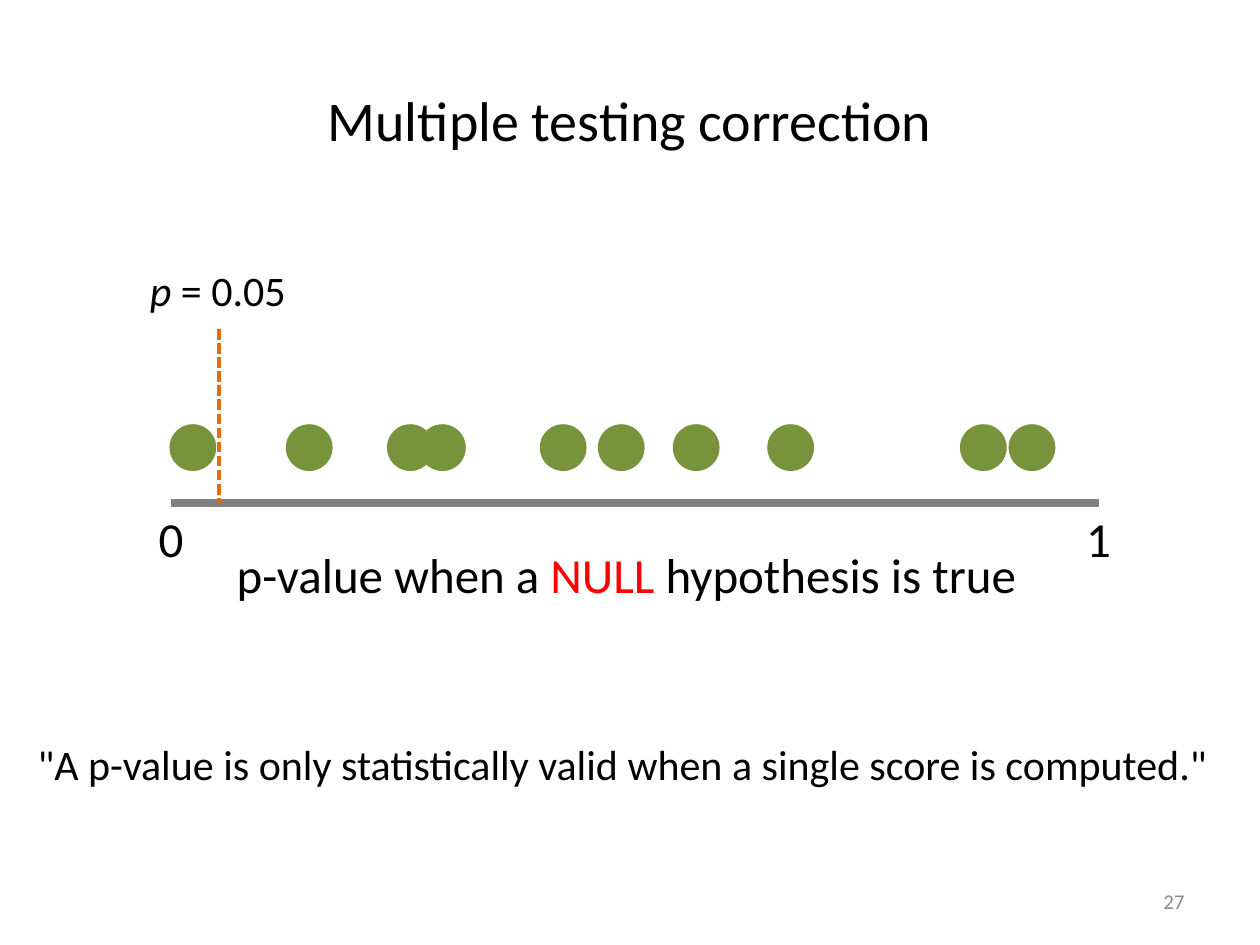
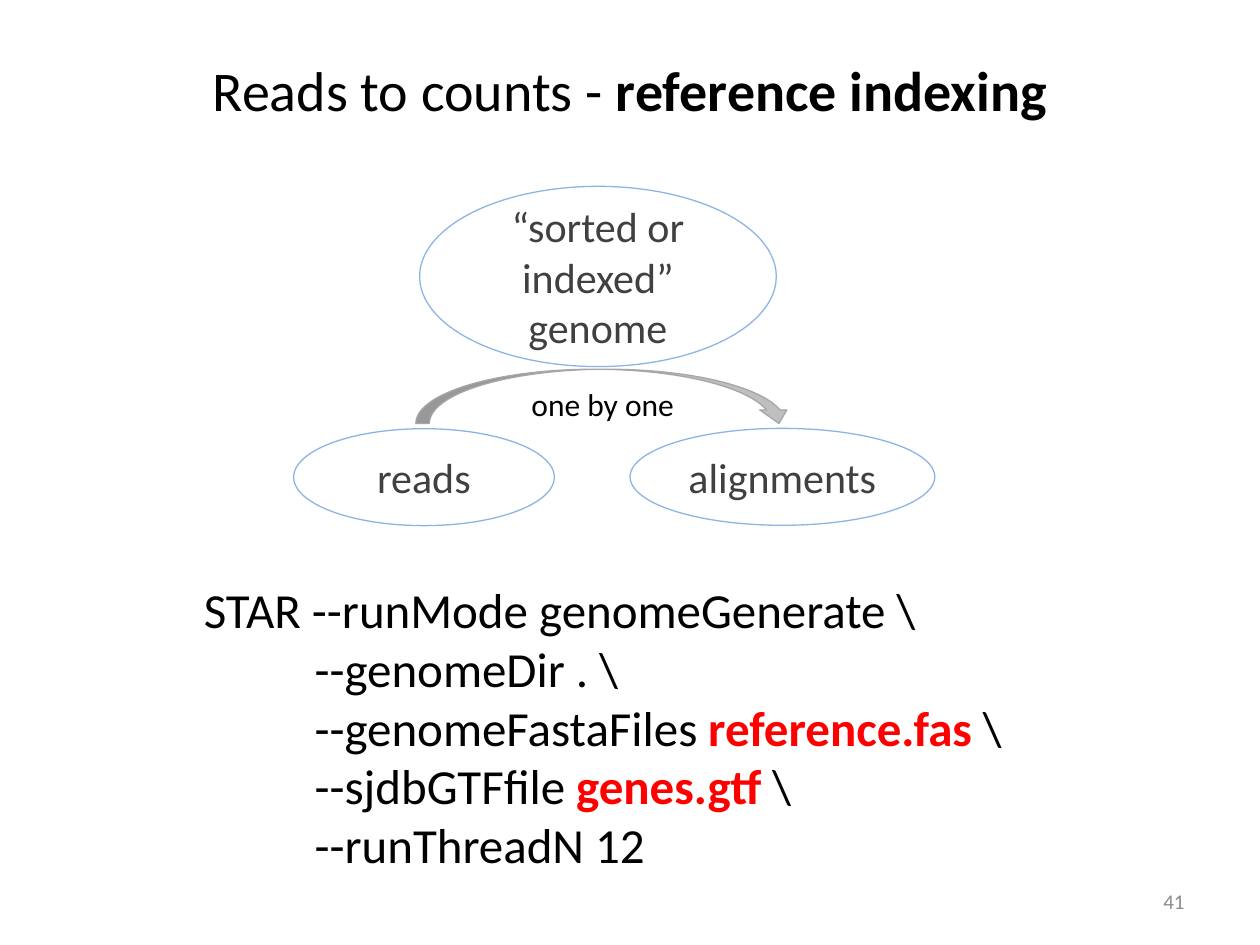
"""Build two slides: multiple testing correction and reference indexing."""
from dataclasses import dataclass
from typing import Optional

from lxml import etree
from pptx import Presentation
from pptx.dml.color import RGBColor
from pptx.enum.dml import MSO_LINE
from pptx.enum.shapes import MSO_CONNECTOR, MSO_SHAPE
from pptx.enum.text import MSO_ANCHOR, MSO_AUTO_SIZE, PP_ALIGN
from pptx.oxml.ns import qn
from pptx.util import Pt

OVAL = MSO_SHAPE.OVAL
CURVED_ARROW = MSO_SHAPE.CURVED_DOWN_ARROW
STRAIGHT = MSO_CONNECTOR.STRAIGHT
DASH = MSO_LINE.SQUARE_DOT
LEFT, CENTER, RIGHT = PP_ALIGN.LEFT, PP_ALIGN.CENTER, PP_ALIGN.RIGHT
TOP, MIDDLE = MSO_ANCHOR.TOP, MSO_ANCHOR.MIDDLE
FIT, NO_FIT = MSO_AUTO_SIZE.SHAPE_TO_FIT_TEXT, MSO_AUTO_SIZE.NONE

FONT = "Calibri"
BLACK, RED, DARK, NUMBER = "000000", "FF0000", "404040", "8C8C8C"
GREEN, ORANGE, AXIS = "77933C", "E46C0A", "808080"
OUTLINE, ARROW_FILL, ARROW_EDGE = "8EB4E3", "BFBFBF", "A6A6A6"

AXIS_LEFT, AXIS_RIGHT, AXIS_Y = 98, 628, 287.3
THRESHOLD_X = 125.3
DOT_SIZE, DOT_TOP = 26, 242.8
DOT_LEFTS = (97.2, 163.7, 221.5, 239.8, 308.8, 342, 384.8, 438.8, 548.9, 576.7)


@dataclass(frozen=True)
class Run:
    """A piece of text whose look may differ from its paragraph."""
    text: str
    color: Optional[str] = None
    bold: Optional[bool] = None
    italic: Optional[bool] = None


@dataclass(frozen=True)
class Box:
    """A rectangle in points."""
    x: float
    y: float
    w: float
    h: float

    def lengths(self) -> tuple:
        """Return the four lengths for python-pptx."""
        return Pt(self.x), Pt(self.y), Pt(self.w), Pt(self.h)


@dataclass(frozen=True)
class Label:
    """A text box with one or more paragraphs of runs."""
    box: Box
    paragraphs: tuple
    size: float
    wrap: bool = False


@dataclass(frozen=True)
class Node:
    """An outlined ellipse with a caption."""
    box: Box
    text: str


def rgb(value: str) -> RGBColor:
    """Turn a hex string into a colour."""
    return RGBColor.from_string(value)


def write(tf, paragraphs, size, color=BLACK, align=LEFT, anchor=TOP) -> None:
    """Fill a text frame with paragraphs of runs."""
    tf.vertical_anchor = anchor
    for i, runs in enumerate(paragraphs):
        p = tf.paragraphs[0] if i == 0 else tf.add_paragraph()
        p.alignment = align
        p.font.name, p.font.size = FONT, Pt(size)
        p.font.color.rgb = rgb(color)
        for run in runs:
            r = p.add_run()
            r.text = run.text
            if run.color:
                r.font.color.rgb = rgb(run.color)
            if run.bold is not None:
                r.font.bold = run.bold
            if run.italic is not None:
                r.font.italic = run.italic


def add_label(s, label: Label) -> None:
    """Add a text box that grows with its text."""
    tf = s.shapes.add_textbox(*label.box.lengths()).text_frame
    tf.word_wrap = label.wrap
    tf.auto_size = FIT
    write(tf, label.paragraphs, label.size)


def add_preset(s, kind, box: Box, line: str, fill: Optional[str] = None):
    """Add a preset shape with a thin outline."""
    sp = s.shapes.add_shape(kind, *box.lengths())
    sp.shadow.inherit = False
    if fill:
        sp.fill.solid()
        sp.fill.fore_color.rgb = rgb(fill)
    else:
        sp.fill.background()
    sp.line.color.rgb = rgb(line)
    sp.line.width = Pt(0.75)
    return sp


def add_node(s, node: Node) -> None:
    """Add an outlined ellipse with centred text."""
    sp = add_preset(s, OVAL, node.box, OUTLINE)
    write(sp.text_frame, ((Run(node.text),),), 24, DARK, CENTER, MIDDLE)


def add_line(s, x1, y1, x2, y2, color: str, width: float, dash=None) -> None:
    """Add a straight line without a shadow."""
    line = s.shapes.add_connector(STRAIGHT, Pt(x1), Pt(y1), Pt(x2), Pt(y2))
    line.line.color.rgb = rgb(color)
    line.line.width = Pt(width)
    if dash:
        line.line.dash_style = dash
    etree.SubElement(line._element.spPr, qn("a:effectLst"))


def add_titled_slide(prs, box: Box, runs: tuple, number: int):
    """Add a title-only slide with its title and slide number."""
    s = prs.slides.add_slide(prs.slide_layouts[5])
    title = s.shapes.title
    title.left, title.top, title.width, title.height = box.lengths()
    title.text_frame.auto_size = NO_FIT
    write(title.text_frame, (runs,), 32, align=CENTER, anchor=MIDDLE)
    tf = s.shapes.add_textbox(*Box(516, 500.5, 168, 28.75).lengths()).text_frame
    tf.word_wrap = True
    write(tf, ((Run(str(number)),),), 12, NUMBER, RIGHT, MIDDLE)
    return s


def build_testing(prs) -> None:
    """Build the p-value axis slide."""
    s = add_titled_slide(prs, Box(36, 32.4, 648, 71.3),
                         (Run("Multiple testing correction"),), 27)
    add_line(s, AXIS_LEFT, AXIS_Y, AXIS_RIGHT, AXIS_Y, AXIS, 4.5)
    for x in DOT_LEFTS:
        add_preset(s, OVAL, Box(x, DOT_TOP, DOT_SIZE, DOT_SIZE), GREEN, GREEN)
    add_line(s, THRESHOLD_X, 188, THRESHOLD_X, AXIS_Y, ORANGE, 2, DASH)
    for x, text in ((AXIS_LEFT, "0"), (AXIS_RIGHT, "1")):
        add_label(s, Label(Box(x - 14.4, AXIS_Y, 28.8, 41.2), ((Run(text),),), 28))
    caption = (Run("p-value when a "), Run("NULL", RED),
               Run(" hypothesis is true"))
    quote = '"A p-value is only statistically valid when a single score is computed."'
    threshold = (Run("p", italic=True), Run(" = 0.05"))
    for label in (
        Label(Box(128.2, 307.4, 477.4, 41.2), (caption,), 28),
        Label(Box(14.4, 418.3, 692.6, 36.35), ((Run(quote),),), 24),
        Label(Box(78.5, 147.6, 94.3, 36.35), (threshold,), 24),
    ):
        add_label(s, label)


def build_indexing(prs) -> None:
    """Build the reference indexing slide."""
    title = (Run("Reads to counts - "), Run("reference indexing", bold=True))
    s = add_titled_slide(prs, Box(36, 21.6, 648, 58.3), title, 41)
    indent = " " * 10
    end = Run(" \\")
    command = (
        (Run("STAR --runMode genomeGenerate \\"),),
        (Run(indent + "--genomeDir . \\"),),
        (Run(indent + "--genomeFastaFiles "), Run("reference.fas", RED, True), end),
        (Run(indent + "--sjdbGTFfile "), Run("genes.gtf", RED, True), end),
        (Run(indent + "--runThreadN 12"),),
    )
    add_label(s, Label(Box(109.4, 327.6, 495.4, 177.1), command, 28, True))
    for node in (
        Node(Box(239.8, 106.5, 203.8, 103), "“sorted or indexed” genome"),
        Node(Box(167.8, 245, 149, 55.4), "reads"),
        Node(Box(360, 244.8, 174.2, 55.4), "alignments"),
    ):
        add_node(s, node)
    add_preset(s, CURVED_ARROW, Box(237.6, 211, 215.3, 31), ARROW_EDGE, ARROW_FILL)
    add_label(s, Label(Box(296.6, 216.7, 97.2, 29.1), ((Run("one by one"),),), 18))


def main() -> None:
    """Build and save the presentation."""
    prs = Presentation()
    prs.slide_width, prs.slide_height = Pt(720), Pt(540)
    build_testing(prs)
    build_indexing(prs)
    prs.save("out.pptx")


if __name__ == "__main__":
    main()
